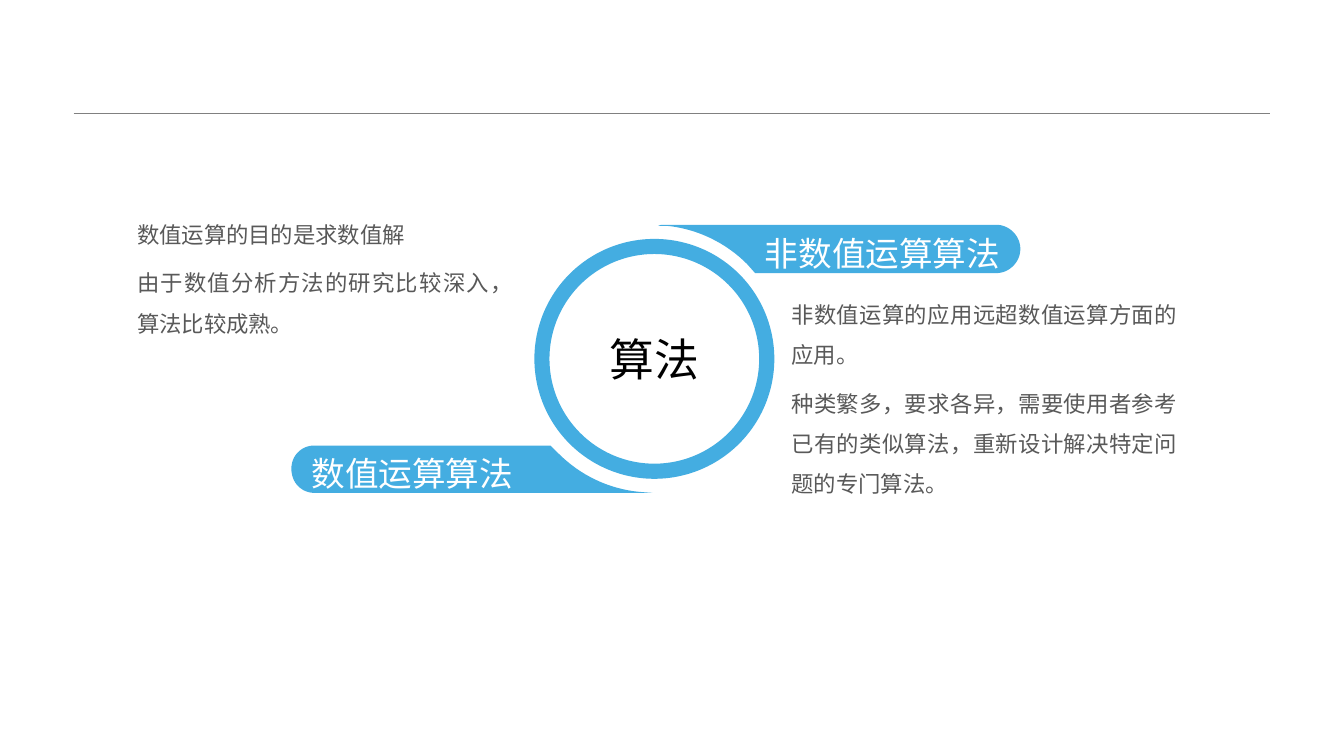
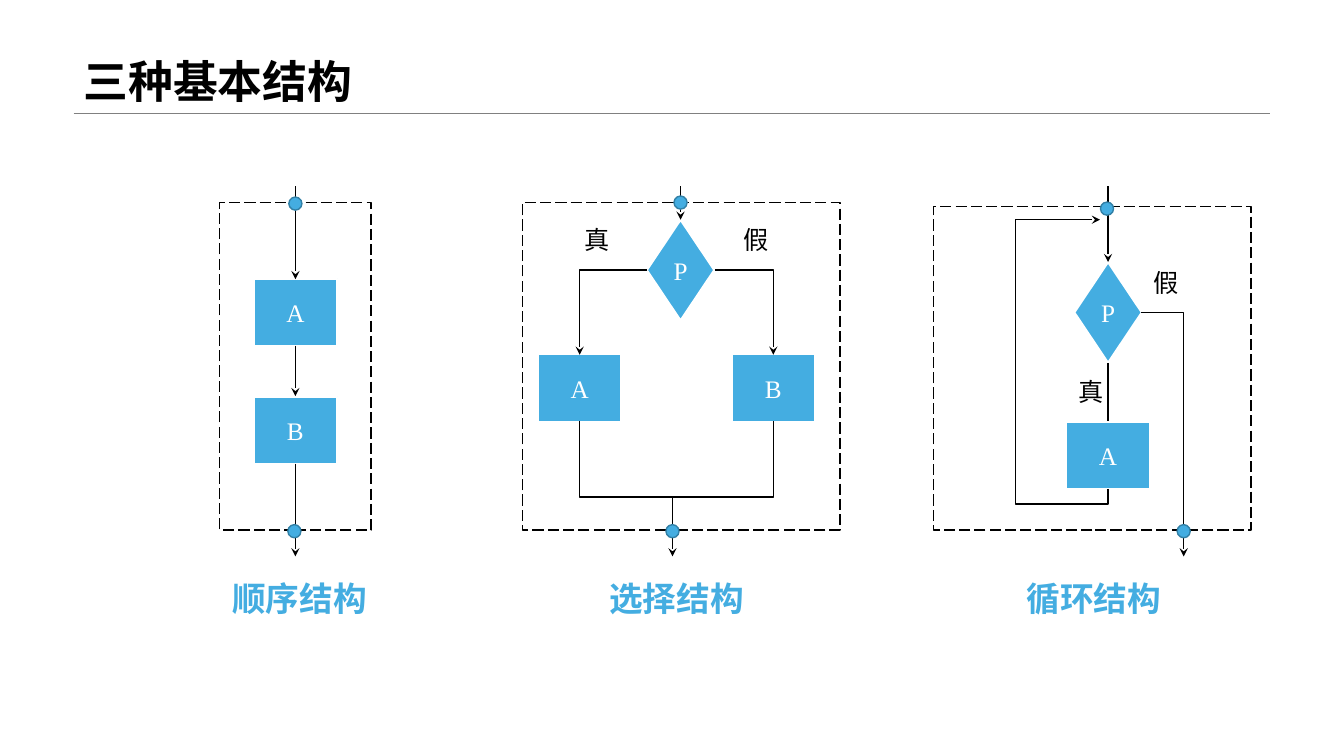
from lxml import etree
from pptx import Presentation
from pptx.dml.color import RGBColor
from pptx.enum import dml, shapes, text
from pptx.oxml.ns import qn
from pptx.util import Inches, Pt

BLUE, DOT_EDGE, WHITE, BLACK = "44ADE1", "3280A6", "FFFFFF", "000000"
RULE_GREY, BODY_GREY = "808080", "595959"
CJK, SERIF = "Noto Sans CJK SC", "Times New Roman"
LEFT, CENTER = text.PP_ALIGN.LEFT, text.PP_ALIGN.CENTER
RIGHT, JUSTIFY = text.PP_ALIGN.RIGHT, text.PP_ALIGN.JUSTIFY
TOP, MIDDLE, BOTTOM = text.MSO_ANCHOR.TOP, text.MSO_ANCHOR.MIDDLE, text.MSO_ANCHOR.BOTTOM
SHAPE = shapes.MSO_SHAPE
NODE_SIZES = {SHAPE.RECTANGLE: (0.83, 0.67), SHAPE.DIAMOND: (0.67, 1)}
DOT_SIZE = 0.13
LABEL_SIZE = (0.5, 0.4)
CAPTION_TOP, CAPTION_SIZE = 5.68, (1.92, 0.51)
BODY_MARGINS = (0, 0.16, 0.2, 0.16)

RING_TITLE = "算法"
BANNERS = [
    ("非数值运算算法", "Arial Narrow", RIGHT, [
        (6.56, 2.23), (9.88, 2.23),
        (10.01, 2.23, 10.12, 2.34, 10.12, 2.47),
        (10.12, 2.6, 10.01, 2.71, 9.88, 2.71),
        (7.49, 2.71), (7.41, 2.62),
        (7.2, 2.41, 6.92, 2.27, 6.61, 2.24), (6.53, 2.24)]),
    ("数值运算算法", "Arial", LEFT, [
        (3.12, 4.42), (5.46, 4.42), (5.54, 4.5),
        (5.75, 4.71, 6.03, 4.85, 6.34, 4.88),
        (6.47, 4.89), (3.12, 4.89),
        (2.99, 4.89, 2.89, 4.79, 2.89, 4.65),
        (2.89, 4.52, 2.99, 4.42, 3.12, 4.42)]),
]
BODIES = [
    ((1.36, 2.06, 3.93, 1.44), BOTTOM,
     ["数值运算的目的是求数值解",
      "由于数值分析方法的研究比较深入，算法比较成熟。"]),
    ((7.85, 2.69, 4.03, 2.31), TOP,
     ["非数值运算的应用远超数值运算方面的应用。",
      "种类繁多，要求各异，需要使用者参考已有的类似算法，重新设计解决特定问题的专门算法。"]),
]

STRUCTURES_TITLE = "三种基本结构"
STRUCTURES = [
    {
        "caption": ("顺序结构", 2.97),
        "frame": (2.18, 2.01, 1.5, 3.25),
        "nodes": [("A", SHAPE.RECTANGLE, 2.93, 3.1), ("B", SHAPE.RECTANGLE, 2.93, 4.27)],
        "arrows": [[(2.93, 1.85), (2.93, 2.77)], [(2.93, 3.43), (2.93, 3.93)],
                   [(2.93, 4.6), (2.93, 5.52)]],
        "lines": [],
        "labels": [],
        "dots": [(2.93, 2.02), (2.92, 5.27)],
    },
    {
        "caption": ("选择结构", 6.71),
        "frame": (5.18, 2.01, 3.15, 3.25),
        "nodes": [("A", SHAPE.RECTANGLE, 5.75, 3.85), ("B", SHAPE.RECTANGLE, 7.67, 3.85),
                  ("P", SHAPE.DIAMOND, 6.75, 2.68)],
        "arrows": [[(6.42, 2.68), (5.75, 2.68), (5.75, 3.52)],
                   [(7.09, 2.68), (7.67, 2.68), (7.67, 3.52)],
                   [(6.75, 1.85), (6.75, 2.18)], [(6.67, 4.93), (6.67, 5.52)]],
        "lines": [[(5.75, 4.18), (5.75, 4.93), (7.67, 4.93), (7.67, 4.18)]],
        "labels": [("真", 5.92, 2.38), ("假", 7.5, 2.38)],
        "dots": [(6.75, 2.01), (6.67, 5.27)],
    },
    {
        "caption": ("循环结构", 10.85),
        "frame": (9.26, 2.05, 3.15, 3.21),
        "nodes": [("P", SHAPE.DIAMOND, 10.99, 3.1), ("A", SHAPE.RECTANGLE, 10.99, 4.52)],
        "arrows": [[(11.32, 3.1), (11.74, 3.1), (11.74, 5.52)],
                   [(10.99, 4.85), (10.99, 5), (10.07, 5), (10.07, 2.18), (10.91, 2.18)],
                   [(10.99, 1.85), (10.99, 2.6)]],
        "lines": [[(10.99, 3.6), (10.99, 4.18)]],
        "labels": [("假", 11.57, 2.8), ("真", 10.82, 3.88)],
        "dots": [(10.98, 2.07), (11.74, 5.27)],
    },
]


def color(value):
    return RGBColor.from_string(value)


def centered(x, y, size):
    width, height = size
    return x - width / 2, y - height / 2, width, height


def style(shape, fill=None, line=None, width=1):
    shape.shadow.inherit = False
    if fill:
        shape.fill.solid()
        shape.fill.fore_color.rgb = color(fill)
    else:
        shape.fill.background()
    if line:
        style_line(shape, line, width)
    else:
        shape.line.fill.background()


def style_line(shape, line, width):
    shape.line.color.rgb = color(line)
    shape.line.width = Pt(width)


def write(shape, paragraphs, size, font, ink, align=CENTER, anchor=MIDDLE, bold=False,
          margins=(0.1, 0.05, 0.1, 0.05), spacing=1, before=0, wrap=True):
    frame = shape.text_frame
    frame.word_wrap = wrap
    frame.vertical_anchor = anchor
    frame.margin_left, frame.margin_top, frame.margin_right, frame.margin_bottom = map(Inches, margins)
    frame.text = "\n".join(paragraphs)
    for paragraph in frame.paragraphs:
        paragraph.alignment = align
        paragraph.line_spacing = spacing
        paragraph.space_before = Pt(before)
        paragraph.font.size = Pt(size)
        paragraph.font.name = font
        paragraph.font.bold = bold
        paragraph.font.color.rgb = color(ink)
        defaults = paragraph._p.pPr.find(qn("a:defRPr"))
        etree.SubElement(defaults, qn("a:ea"), typeface=CJK)


def add_shape(slide, kind, box, fill=None, line=None, width=1):
    shape = slide.shapes.add_shape(kind, *map(Inches, box))
    style(shape, fill, line, width)
    return shape


def add_text(slide, box, paragraphs, *args, **options):
    textbox = slide.shapes.add_textbox(*map(Inches, box))
    write(textbox, paragraphs, *args, **options)


def add_freeform(slide, points, close):
    start, *rest = [(Inches(x), Inches(y)) for x, y in points]
    builder = slide.shapes.build_freeform(*start)
    builder.add_line_segments(rest, close=close)
    return builder.convert_to_shape()


def add_line(slide, points, line=BLACK, width=1, arrow=False):
    if len(points) == 2:
        ends = [Inches(value) for point in points for value in point]
        shape = slide.shapes.add_connector(shapes.MSO_CONNECTOR.STRAIGHT, *ends)
        style_line(shape, line, width)
        etree.SubElement(shape._element.spPr, qn("a:effectLst"))
    else:
        shape = add_freeform(slide, points, close=False)
        style(shape, None, line, width)
    if arrow:
        outline = shape._element.spPr.find(qn("a:ln"))
        etree.SubElement(outline, qn("a:tailEnd"), type="stealth")


def flatten(segments, steps=16):
    points = []
    for segment in segments:
        if len(segment) == 2:
            points.append(segment)
            continue
        x0, y0 = points[-1]
        x1, y1, x2, y2, x3, y3 = segment
        for step in range(1, steps + 1):
            t = step / steps
            s = 1 - t
            weights = s ** 3, 3 * s * s * t, 3 * s * t * t, t ** 3
            points.append(tuple(sum(w * v for w, v in zip(weights, values))
                                for values in ((x0, x1, x2, x3), (y0, y1, y2, y3))))
    return points


def new_slide(presentation, title=None):
    slide = presentation.slides.add_slide(presentation.slide_layouts[6])
    add_line(slide, [(0.73, 1.12), (12.6, 1.12)], RULE_GREY, 0.25)
    if title:
        add_text(slide, (0.73, 0, 11.87, 1.12), [title], 32, CJK, BLACK,
                 align=LEFT, anchor=BOTTOM, bold=True, spacing=0.9)
    return slide


def build_algorithms(presentation):
    slide = new_slide(presentation)
    for label, font, align, segments in BANNERS:
        banner = add_freeform(slide, flatten(segments), close=True)
        style(banner, BLUE)
        write(banner, [label], 24, font, WHITE, align=align,
              margins=(0.2, 0.05, 0.2, 0.05), spacing=1.2)
    ring = add_shape(slide, SHAPE.DONUT, (5.3, 2.37, 2.38, 2.38), BLUE)
    ring.adjustments[0] = 0.063
    write(ring, [RING_TITLE], 32, CJK, BLACK, margins=(0, 0, 0, 0))
    for box, anchor, paragraphs in BODIES:
        add_text(slide, box, paragraphs, 16, "Arial", BODY_GREY, align=JUSTIFY,
                 anchor=anchor, margins=BODY_MARGINS, spacing=1.5, before=6)


def draw_structure(slide, structure):
    frame = add_shape(slide, SHAPE.RECTANGLE, structure["frame"], None, BLACK)
    frame.line.dash_style = dml.MSO_LINE.LONG_DASH
    for name, kind, x, y in structure["nodes"]:
        node = add_shape(slide, kind, centered(x, y, NODE_SIZES[kind]), BLUE, WHITE, 1.5)
        write(node, [name], 18, SERIF, WHITE, wrap=False)
    for points in structure["arrows"]:
        add_line(slide, points, arrow=True)
    for points in structure["lines"]:
        add_line(slide, points)
    for label, x, y in structure["labels"]:
        add_text(slide, centered(x, y, LABEL_SIZE), [label], 18, SERIF, BLACK, anchor=TOP)
    for x, y in structure["dots"]:
        add_shape(slide, SHAPE.FLOWCHART_CONNECTOR, centered(x, y, (DOT_SIZE, DOT_SIZE)),
                  BLUE, DOT_EDGE)
    caption, x = structure["caption"]
    width, height = CAPTION_SIZE
    add_text(slide, (x - width / 2, CAPTION_TOP, width, height), [caption],
             24, CJK, BLUE, anchor=TOP, bold=True)


def main():
    presentation = Presentation()
    presentation.slide_width, presentation.slide_height = Inches(13.33), Inches(7.5)
    build_algorithms(presentation)
    slide = new_slide(presentation, STRUCTURES_TITLE)
    for structure in STRUCTURES:
        draw_structure(slide, structure)
    presentation.save("out.pptx")


if __name__ == "__main__":
    main()
